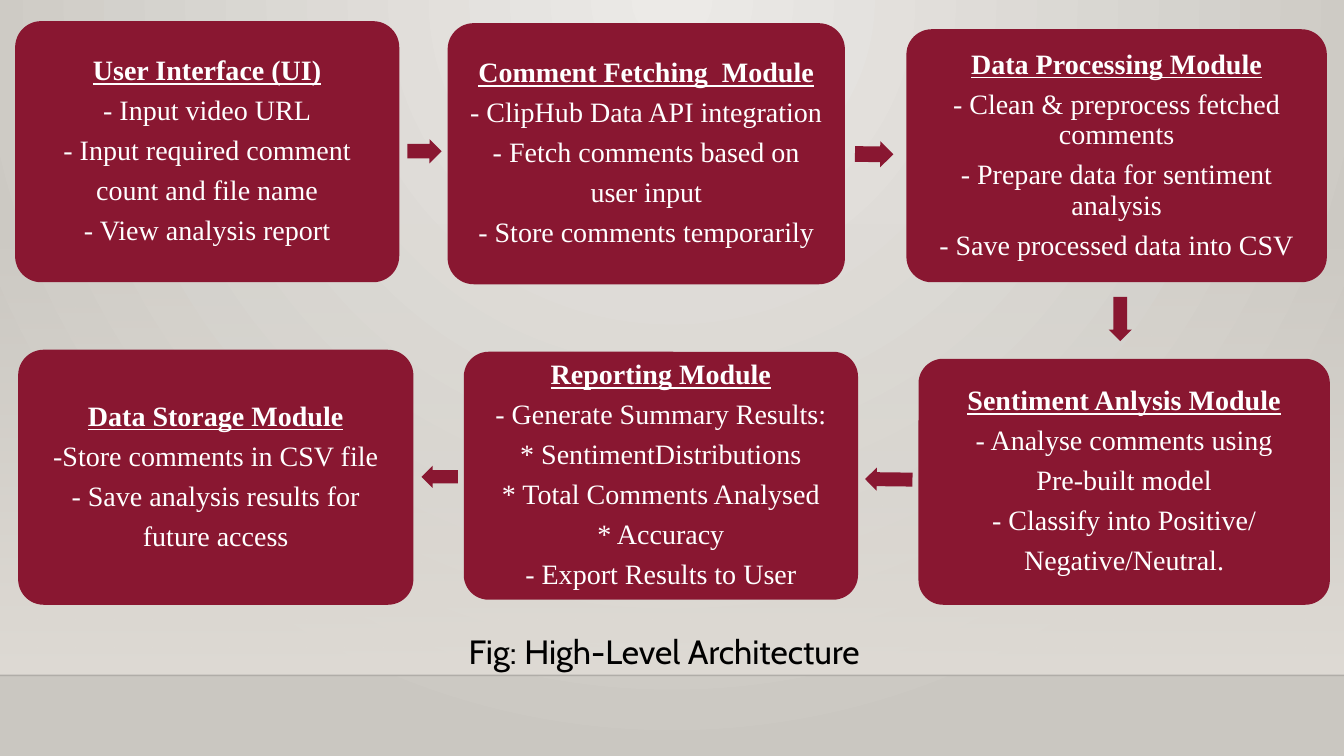
import pptx
import pptx.dml.color
import pptx.enum.shapes
import pptx.enum.text
import pptx.oxml
import pptx.oxml.ns
import pptx.util
from pptx.util import Inches

RGBColor = pptx.dml.color.RGBColor
MAROON = RGBColor(0x89, 0x17, 0x31)
WHITE = RGBColor(0xFF, 0xFF, 0xFF)
BLACK = RGBColor(0x00, 0x00, 0x00)
GLOW = RGBColor(0xEC, 0xEA, 0xE7)
STONE = RGBColor(0xCA, 0xC7, 0xC1)
WALL = RGBColor(0xDF, 0xDB, 0xD5)
SHAPES = pptx.enum.shapes.MSO_SHAPE
CENTER = pptx.enum.text.PP_ALIGN.CENTER
MIDDLE = pptx.enum.text.MSO_ANCHOR.MIDDLE

MODULES = [
    ((0.15, 0.21, 3.81, 2.59), "User Interface (UI)",
     ["- Input video URL", "- Input required comment", "count and file name",
      "- View analysis report"]),
    ((4.44, 0.23, 3.94, 2.59), "Comment Fetching  Module",
     ["- ClipHub Data API integration", "- Fetch comments based on",
      "user input", "- Store comments temporarily"]),
    ((8.99, 0.29, 4.17, 2.51), "Data Processing Module",
     ["- Clean & preprocess fetched comments",
      "- Prepare data for sentiment analysis",
      "- Save processed data into CSV"]),
    ((9.11, 3.56, 4.08, 2.44), "Sentiment Anlysis Module",
     ["- Analyse comments using", "Pre-built model",
      "- Classify into Positive/", "Negative/Neutral."]),
    ((4.6, 3.49, 3.91, 2.46), "Reporting Module",
     ["- Generate Summary Results:", "* SentimentDistributions",
      "* Total Comments Analysed", "* Accuracy",
      "- Export Results to User"]),
    ((0.18, 3.47, 3.92, 2.53), "Data Storage Module",
     ["-Store comments in CSV file", "- Save analysis results for",
      "future access"]),
]
ARROWS = [
    ((4.04, 1.38, 0.34, 0.24), 0.2),
    ((8.48, 1.4, 0.38, 0.26), 0.3),
    ((10.89, 3.05, 0.44, 0.23), 90),
    ((8.58, 4.64, 0.47, 0.23), 180.7),
    ((4.18, 4.62, 0.36, 0.22), 179.9),
]


def apply(target, values):
    """Set each named attribute of the target."""
    for name, value in values.items():
        setattr(target, name, value)


def add_child(parent, tag, **attributes):
    """Append a DrawingML element and return it."""
    child = pptx.oxml.parse_xml(f"<a:{tag} {pptx.oxml.ns.nsdecls('a')}/>")
    for name, value in attributes.items():
        child.set(name, value)
    parent.append(child)
    return child


def set_gradient(fill, colors):
    """Make the fill a two-stop gradient."""
    fill.gradient()
    for stop, color in zip(fill.gradient_stops, colors):
        stop.color.rgb = color


def add_block(slide, kind, box, adjustments=()):
    """Add a maroon preset shape without outline or shadow."""
    block = slide.shapes.add_shape(kind, *map(Inches, box))
    block.shadow.inherit = False
    block.fill.solid()
    block.fill.fore_color.rgb = MAROON
    block.line.fill.background()
    for index, value in enumerate(adjustments):
        block.adjustments[index] = value
    return block


def add_backdrop(slide):
    """Paint the radial background, the fading wall and the floor line."""
    background = slide.background.fill
    set_gradient(background, (GLOW, STONE))
    gradient = slide.element.find(".//" + pptx.oxml.ns.qn("a:gradFill"))
    gradient.remove(gradient.find(pptx.oxml.ns.qn("a:lin")))
    radial = add_child(gradient, "path", path="circle")
    add_child(radial, "fillToRect", l="43000", t="0", r="43000", b="100000")

    wall = add_block(slide, SHAPES.RECTANGLE, (0, 2.21, 13.33, 4.49))
    set_gradient(wall.fill, (WALL, WALL))
    wall.fill.gradient_angle = 270
    wall_color = wall.element.find(".//" + pptx.oxml.ns.qn("a:srgbClr"))
    add_child(wall_color, "alpha", val="0")

    floor = slide.shapes.add_connector(
        pptx.enum.shapes.MSO_CONNECTOR.STRAIGHT,
        Inches(0), Inches(6.7), Inches(13.33), Inches(6.7))
    floor.line.width = pptx.util.Pt(1)
    floor.line.color.rgb = BLACK
    floor_color = floor.element.find(".//" + pptx.oxml.ns.qn("a:srgbClr"))
    add_child(floor_color, "alpha", val="20000")
    add_child(floor.element.spPr, "effectLst")


def add_module(slide, box, title, details):
    """Add a rounded module box with an underlined title and its details."""
    module = add_block(slide, SHAPES.ROUNDED_RECTANGLE, box, [0.1])
    frame = module.text_frame
    margins = dict.fromkeys(
        ("margin_left", "margin_top", "margin_right", "margin_bottom"),
        Inches(0.08))
    apply(frame, {"word_wrap": True, "vertical_anchor": MIDDLE, **margins})
    for index, wording in enumerate([title, *details]):
        paragraph = frame.add_paragraph() if index else frame.paragraphs[0]
        apply(paragraph, {"alignment": CENTER, "line_spacing": 0.9,
                          "space_after": pptx.util.Pt(7)})
        run = paragraph.add_run()
        run.text = wording
        apply(run.font, {"name": "Times New Roman", "size": pptx.util.Pt(20),
                         "bold": index == 0, "underline": index == 0})
        run.font.color.rgb = WHITE


def add_arrow(slide, box, rotation):
    """Add a block arrow turned toward the next module."""
    arrow = add_block(slide, SHAPES.RIGHT_ARROW, box, [0.6, 0.5])
    arrow.rotation = rotation


def add_caption(slide, wording):
    """Add the figure caption below the modules."""
    caption = slide.shapes.add_textbox(
        *map(Inches, (4.55, 6.21, 4.42, 0.5)))
    caption.text_frame.word_wrap = True
    run = caption.text_frame.paragraphs[0].add_run()
    run.text = wording
    apply(run.font, {"name": "Cabin", "size": pptx.util.Pt(24)})
    run.font.color.rgb = BLACK


def main():
    """Build the architecture slide and save it."""
    deck = pptx.Presentation()
    apply(deck, {"slide_width": Inches(13.33), "slide_height": Inches(7.5)})
    slide = deck.slides.add_slide(deck.slide_layouts[6])
    add_backdrop(slide)
    for box, title, details in MODULES:
        add_module(slide, box, title, details)
    for box, rotation in ARROWS:
        add_arrow(slide, box, rotation)
    add_caption(slide, "Fig: High-Level Architecture")
    deck.save("out.pptx")


if __name__ == "__main__":
    main()
